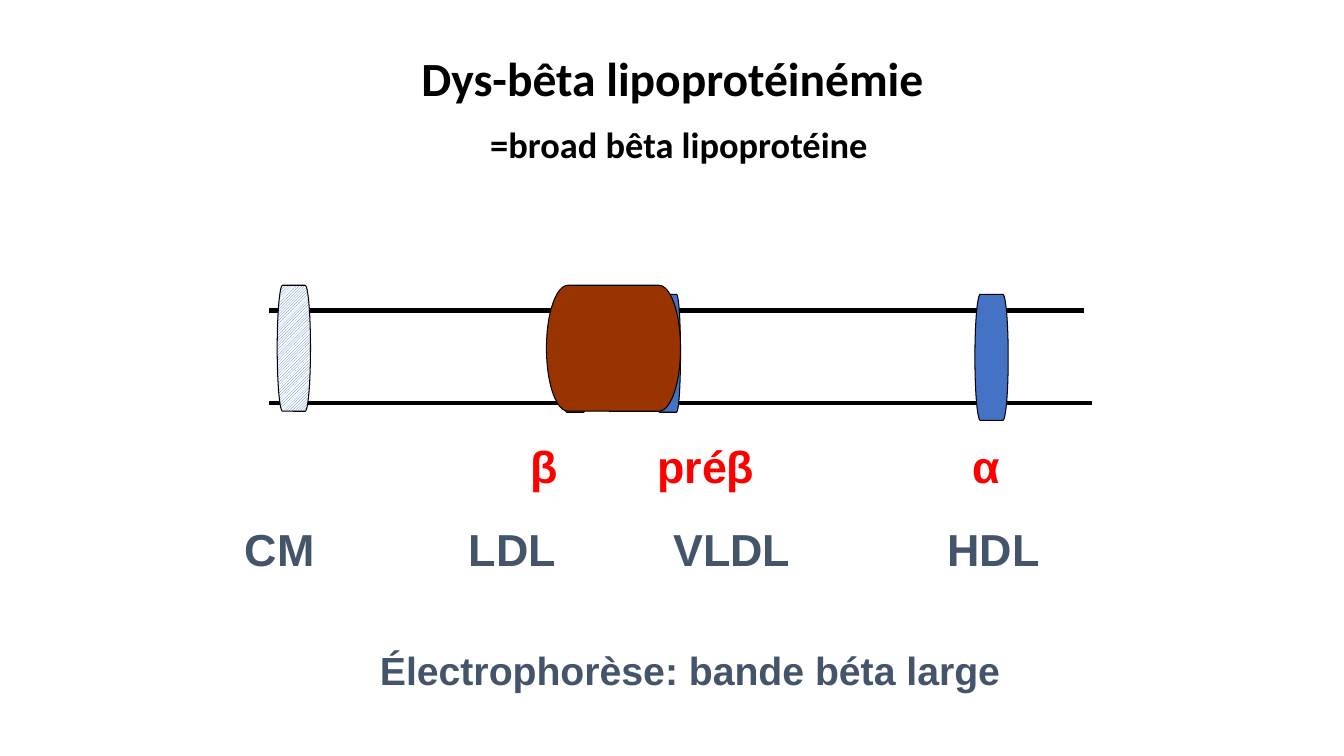
from pptx import Presentation
from pptx.dml.color import RGBColor
from pptx.enum.dml import MSO_PATTERN
from pptx.enum.shapes import MSO_CONNECTOR, MSO_SHAPE
from pptx.enum.text import MSO_ANCHOR, PP_ALIGN
from pptx.util import Inches, Pt
from pptx.oxml.ns import qn
from lxml import etree

STRAIGHT = MSO_CONNECTOR.STRAIGHT
TERMINATOR = MSO_SHAPE.FLOWCHART_TERMINATOR
HATCH = MSO_PATTERN.DARK_UPWARD_DIAGONAL
MIDDLE, TOP = MSO_ANCHOR.MIDDLE, MSO_ANCHOR.TOP
CENTER, LEFT = PP_ALIGN.CENTER, PP_ALIGN.LEFT

BLACK, WHITE, RED = "000000", "FFFFFF", "FF0000"
BLUE, SLATE, BROWN = "4472C4", "44546A", "993300"


def color(value):
    return RGBColor.from_string(value)


class Gel:
    """Style and current slide of the electrophoresis drawing."""

    def __init__(self, page):
        self.page = page

    def track(self, left, right, y):
        line = self.page.shapes.add_connector(
            STRAIGHT, Inches(left), Inches(y), Inches(right), Inches(y))
        line.line.color.rgb = color(BLACK)
        line.line.width = Pt(3)
        etree.SubElement(line._element.spPr, qn("a:effectLst"))

    def band(self, left, top, width, height, fill, hatched=False):
        shape = self.page.shapes.add_shape(
            TERMINATOR, Inches(left), Inches(top), Inches(width), Inches(height))
        shape.shadow.inherit = False
        if hatched:
            shape.fill.patterned()
            shape.fill.pattern = HATCH
            shape.fill.fore_color.rgb = color(fill)
            shape.fill.back_color.rgb = color(WHITE)
        else:
            shape.fill.solid()
            shape.fill.fore_color.rgb = color(fill)
        shape.line.color.rgb = color(BLACK)
        shape.line.width = Pt(0.75)

    def box(self, left, top, width, height, frame_format, para_format, tabs=()):
        box = self.page.shapes.add_textbox(
            Inches(left), Inches(top), Inches(width), Inches(height))
        frame = box.text_frame
        para = frame.paragraphs[0]
        for target, values in ((frame, frame_format), (para, para_format)):
            for name, value in values.items():
                setattr(target, name, value)
        if tabs:
            stops = etree.SubElement(para._p.get_or_add_pPr(), qn("a:tabLst"))
            for stop in tabs:
                etree.SubElement(stops, qn("a:tab"), pos=str(Inches(stop)), algn="l")
        return para

    def span(self, para, text, size, fill, name="Arial"):
        span = para.add_run()
        span.text = text
        for key, value in {"size": Pt(size), "name": name, "bold": True}.items():
            setattr(span.font, key, value)
        span.font.color.rgb = color(fill)

    def label(self, left, top, width, height, text, size, fill,
              inset=0.1, spacing=1.0, tabs=()):
        para = self.box(
            left, top, width, height,
            {"word_wrap": True, "vertical_anchor": TOP,
             "margin_top": Inches(inset), "margin_bottom": 0},
            {"alignment": LEFT, "line_spacing": spacing}, tabs)
        self.span(para, text, size, fill)


def main():
    deck = Presentation()
    deck.slide_width, deck.slide_height = Inches(13.33), Inches(7.5)
    page = deck.slides.add_slide(deck.slide_layouts[6])
    gel = Gel(page)

    # Title
    title = gel.box(0.92, 0.4, 11.5, 1.45,
                    {"word_wrap": True, "vertical_anchor": MIDDLE},
                    {"alignment": CENTER, "line_spacing": 0.9})
    gel.span(title, "Dys-bêta lipoprotéinémie", 34, BLACK, "Calibri")
    title.add_line_break()
    gel.span(title, " ", 43, BLACK, "Calibri")
    gel.span(title, "=broad bêta lipoprotéine", 26, BLACK, "Calibri")

    # Gel edges
    gel.track(2.67, 10.75, 3.08)
    gel.track(2.67, 10.83, 4)

    # Lipoprotein bands, the broad beta band in front
    gel.band(2.75, 2.83, 0.33, 1.25, BLUE, hatched=True)
    gel.band(9.67, 2.92, 0.33, 1.25, BLUE)
    for left in (5.58, 6.5):
        gel.band(left, 2.92, 0.25, 1.17, BLUE)
    gel.band(5.42, 2.83, 1.33, 1.25, BROWN)

    # Band names and caption
    gel.label(2.58, 4.25, 8.08, 0.63, "\tβ\tpréβ\tα", 32, RED,
              tabs=(2.58, 3.84, 6.97))
    gel.label(2.33, 5.08, 8.42, 0.63, "CM\tLDL\tVLDL\tHDL", 32, SLATE,
              tabs=(2.22, 4.25, 6.97))
    gel.label(3.67, 6.38, 7.04, 0.52, "Électrophorèse: bande béta large", 28, SLATE,
              inset=0.08, spacing=0.9)

    deck.save("out.pptx")


if __name__ == "__main__":
    main()
